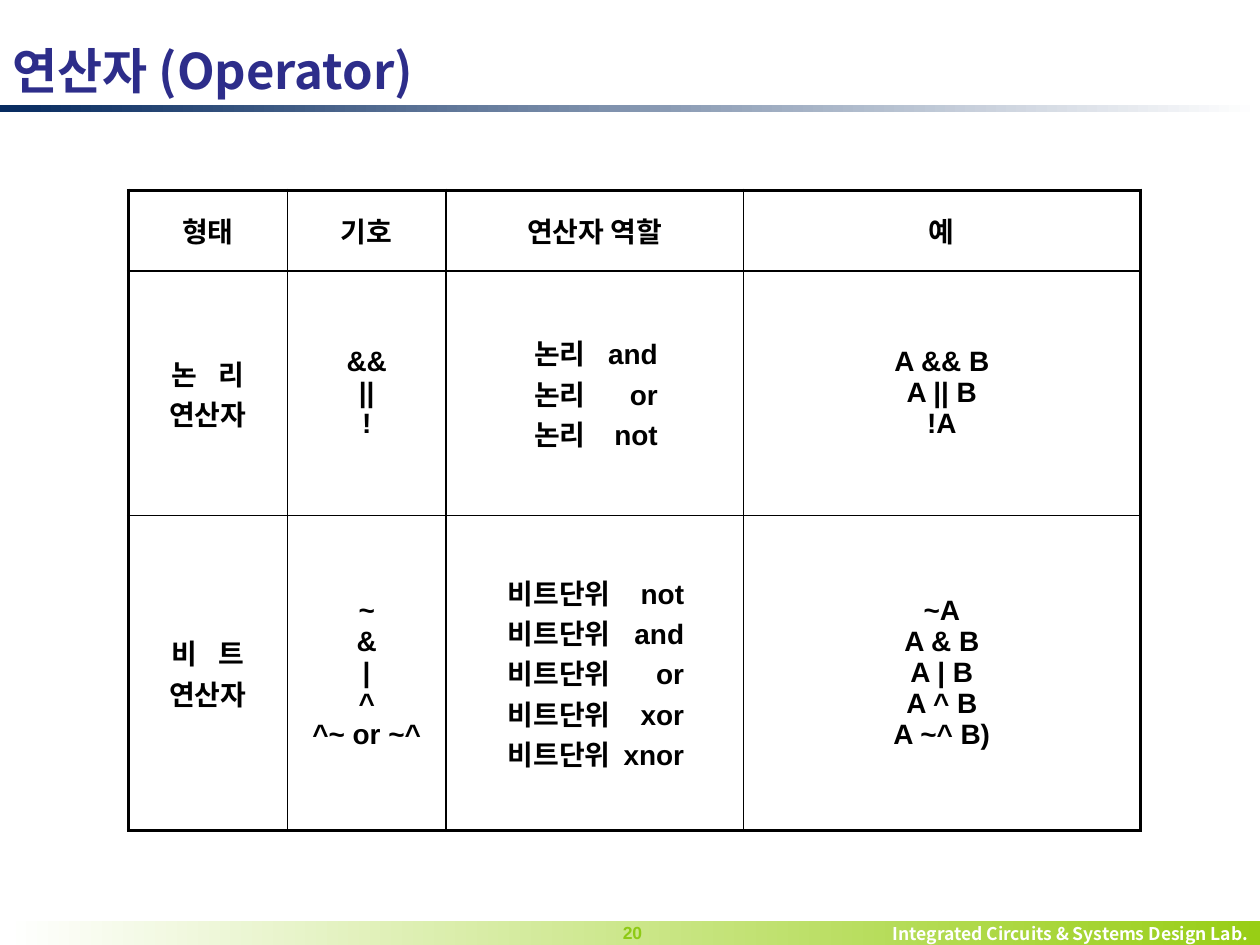
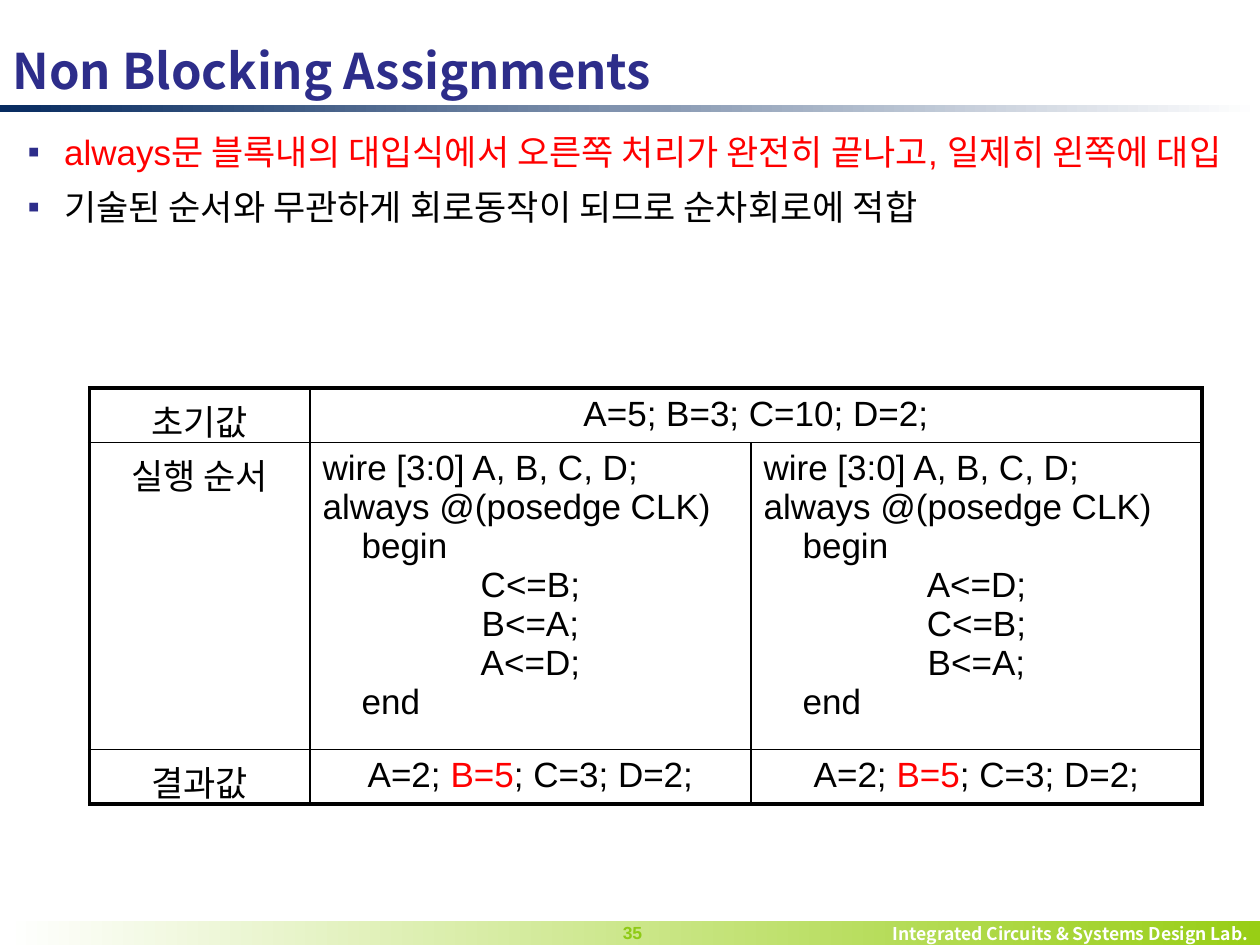
from lxml.etree import SubElement
from pptx import Presentation
from pptx.dml.color import RGBColor
from pptx.enum.shapes import MSO_SHAPE
from pptx.enum.text import MSO_ANCHOR, MSO_AUTO_SIZE, PP_ALIGN
from pptx.oxml import parse_xml
from pptx.oxml.ns import nsdecls, qn
from pptx.util import Inches, Pt

# Content. A cell is a list of lines; a line is a list of (text, options) runs.
FOOTER = "Integrated Circuits & Systems Design Lab."
RED = RGBColor(0xFF, 0x00, 0x00)


def lines(*texts):
    return [{"runs": [(text, {})]} for text in texts]


def spread(first, last):
    """Two syllables set as wide as a three-syllable word."""
    return {"runs": [(first, {}), (" ", {"tracking": 9}), (last, {})]}


def roles(prefix, names, margin, tab):
    return [{"runs": [(f"{prefix}\t{name}", {})], "margin": margin, "tab": tab,
             "align": PP_ALIGN.LEFT} for name in names]


def code(*assignments):
    left = {"align": PP_ALIGN.LEFT}
    declarations = lines("wire [3:0] A, B, C, D;", "always @(posedge CLK)")
    begin, end = lines("begin", "end")
    return ([line | left for line in declarations]
            + [begin | left | {"indent": 0.31}]
            + lines(*assignments)
            + [end | left | {"indent": 0.31}])


RESULT = [{"runs": [("A=2; ", {}), ("B=5", {"color": RED}), ("; C=3; D=2;", {})]}]

OPERATOR_TABLE = {
    "at": (1.02, 1.51), "columns": (1.26, 1.26, 2.36, 3.15), "rows": (0.64, 1.94, 2.5),
    "size": 16, "bold": True, "anchor": MSO_ANCHOR.MIDDLE, "merges": [],
    "cells": [
        [lines("형태"), lines("기호"), lines("연산자 역할"), lines("예")],
        [[spread("논", "리")] + lines("연산자"),
         lines("&&", "||", "!"),
         roles("논리", ("and", "or", "not"), 0.7, 0.98),
         lines("A && B", "A || B", "!A")],
        [[spread("비", "트")] + lines("연산자"),
         lines("~", "&", "|", "^", "^~ or ~^"),
         roles("비트단위", ("not", "and", "or", "xor", "xnor"), 0.49, 1.4),
         lines("~A", "A & B", "A | B", "A ^ B", "A ~^ B)")],
    ],
}

ASSIGNMENT_TABLE = {
    "at": (0.71, 3.08), "columns": (1.75, 3.5, 3.58), "rows": (0.43, 2.43, 0.43),
    "size": 20, "bold": False, "anchor": MSO_ANCHOR.TOP,
    "merges": [((0, 1), (0, 2))],
    "cells": [
        [lines("초기값"), lines("A=5; B=3; C=10; D=2;"), []],
        [lines("실행 순서"), code("C<=B;", "B<=A;", "A<=D;"),
         code("A<=D;", "C<=B;", "B<=A;")],
        [lines("결과값"), RESULT, RESULT],
    ],
}

BLACK = RGBColor(0x00, 0x00, 0x00)
WHITE = RGBColor(0xFF, 0xFF, 0xFF)
NAVY = RGBColor(0x07, 0x2B, 0x60)
TITLE_BLUE = RGBColor(0x2D, 0x2D, 0x8A)
BAND_GREEN = RGBColor(0x98, 0xCE, 0x15)
NUMBER_GREEN = RGBColor(0x8E, 0xCA, 0x15)

SLIDES = [
    {"title": "연산자 (Operator)", "number": 20, "bullets": [], "table": OPERATOR_TABLE},
    {"title": "Non Blocking Assignments", "number": 35, "table": ASSIGNMENT_TABLE,
     "bullets": [
         ("always문 블록내의 대입식에서 오른쪽 처리가 완전히 끝나고, 일제히 왼쪽에 대입", RED),
         ("기술된 순서와 무관하게 회로동작이 되므로 순차회로에 적합", BLACK)]},
]

LATIN_FONT = "Arial"
KOREAN_FONT = "Noto Sans CJK KR"
OUTER_LINE, INNER_LINE = 2.25, 1


# Text
def add_run(paragraph, text, size, color, bold=False, font=LATIN_FONT, tracking=0):
    run = paragraph.add_run()
    run.text = text
    run.font.size = Pt(size)
    run.font.bold = bold
    run.font.name = font
    run.font.color.rgb = color
    properties = run.font._element
    SubElement(properties, qn("a:ea")).set("typeface", KOREAN_FONT)
    if tracking:
        properties.set("spc", str(tracking * 100))


def box(left, top, width, height):
    return [Inches(value) for value in (left, top, width, height)]


# Parts on every slide
def add_band(slide, place, start, end):
    band = slide.shapes.add_shape(MSO_SHAPE.RECTANGLE, *box(*place))
    band.shadow.inherit = False
    band.line.fill.background()
    band.fill.gradient()
    band.fill.gradient_angle = 0
    for stop, position, color in zip(band.fill.gradient_stops, (0, 1), (start, end)):
        stop.position = position
        stop.color.rgb = color
    return band


def add_frame(slide, title_text, number):
    add_band(slide, (0, 0.83, 10, 0.06), NAVY, WHITE)
    footer = add_band(slide, (0.04, 7.31, 9.96, 0.19), WHITE, BAND_GREEN).text_frame
    footer.margin_top = footer.margin_bottom = 0
    footer.vertical_anchor = MSO_ANCHOR.MIDDLE
    footer.paragraphs[0].alignment = PP_ALIGN.RIGHT
    add_run(footer.paragraphs[0], FOOTER, 10, WHITE, True, KOREAN_FONT)

    page = slide.shapes.add_textbox(*box(4.63, 7.27, 0.78, 0.27)).text_frame
    page.word_wrap = True
    page.paragraphs[0].alignment = PP_ALIGN.CENTER
    add_run(page.paragraphs[0], str(number), 10, NUMBER_GREEN, True)

    title = slide.shapes.title
    title.left, title.top, title.width, title.height = box(0, 0.24, 10, 0.63)
    frame = title.text_frame
    frame.auto_size = MSO_AUTO_SIZE.NONE
    frame.word_wrap = True
    frame.vertical_anchor = MSO_ANCHOR.MIDDLE
    frame.paragraphs[0].alignment = PP_ALIGN.LEFT
    add_run(frame.paragraphs[0], title_text, 28, TITLE_BLUE, True, KOREAN_FONT)


# Bulleted text
def add_bullets(slide, bullets):
    frame = slide.shapes.add_textbox(*box(0.12, 0.94, 9.75, 1.6)).text_frame
    frame.word_wrap = True
    for index, (text, color) in enumerate(bullets):
        paragraph = frame.add_paragraph() if index else frame.paragraphs[0]
        paragraph.line_spacing = 1.14
        paragraph.space_before = Pt(4)
        properties = paragraph._p.get_or_add_pPr()
        properties.set("marL", str(Inches(0.29)))
        properties.set("indent", str(Inches(-0.29)))
        bullet_color = SubElement(properties, qn("a:buClr"))
        SubElement(bullet_color, qn("a:srgbClr")).set("val", str(TITLE_BLUE))
        SubElement(properties, qn("a:buFont")).set("typeface", LATIN_FONT)
        SubElement(properties, qn("a:buChar")).set("char", "▪")
        add_run(paragraph, text, 20, color)


# Tables
def set_borders(cell, widths):
    properties = cell._tc.get_or_add_tcPr()
    for index, (side, width) in enumerate(zip("LRTB", widths)):
        properties.insert(index, parse_xml(
            f'<a:ln{side} {nsdecls("a")} w="{Pt(width)}"><a:solidFill>'
            f'<a:srgbClr val="{BLACK}"/></a:solidFill></a:ln{side}>'))


def fill_cell(cell, content, size, bold):
    for index, line in enumerate(content):
        frame = cell.text_frame
        paragraph = frame.add_paragraph() if index else frame.paragraphs[0]
        paragraph.alignment = line.get("align", PP_ALIGN.CENTER)
        properties = paragraph._p.get_or_add_pPr()
        if "indent" in line:
            properties.set("marL", str(Inches(line["indent"])))
        if "tab" in line:
            cell.margin_left = Inches(line["margin"])
            tab = SubElement(SubElement(properties, qn("a:tabLst")), qn("a:tab"))
            tab.set("pos", str(Inches(line["tab"])))
            tab.set("algn", "r")
        for text, options in line["runs"]:
            add_run(paragraph, text, size, options.get("color", BLACK), bold,
                    tracking=options.get("tracking", 0))


def add_table(slide, data):
    columns, rows = data["columns"], data["rows"]
    place = box(*data["at"], sum(columns), sum(rows))
    table = slide.shapes.add_table(len(rows), len(columns), *place).table
    table.first_row = table.horz_banding = False
    for column, width in zip(table.columns, columns):
        column.width = Inches(width)
    for row, height in zip(table.rows, rows):
        row.height = Inches(height)
    for first, last in data["merges"]:
        table.cell(*first).merge(table.cell(*last))
    for r, row in enumerate(data["cells"]):
        for c, content in enumerate(row):
            cell = table.cell(r, c)
            cell.vertical_anchor = data["anchor"]
            cell.fill.background()
            on_edge = (c == 0, c + cell.span_width == len(columns) or c == len(columns) - 1,
                       r == 0, r == len(rows) - 1)
            set_borders(cell, [OUTER_LINE if edge else INNER_LINE for edge in on_edge])
            fill_cell(cell, content, data["size"], data["bold"])


def main():
    presentation = Presentation()
    presentation.slide_width, presentation.slide_height = Inches(10), Inches(7.5)
    title_only = presentation.slide_layouts[5]
    for content in SLIDES:
        slide = presentation.slides.add_slide(title_only)
        add_frame(slide, content["title"], content["number"])
        if content["bullets"]:
            add_bullets(slide, content["bullets"])
        add_table(slide, content["table"])
    presentation.save("out.pptx")


if __name__ == "__main__":
    main()
